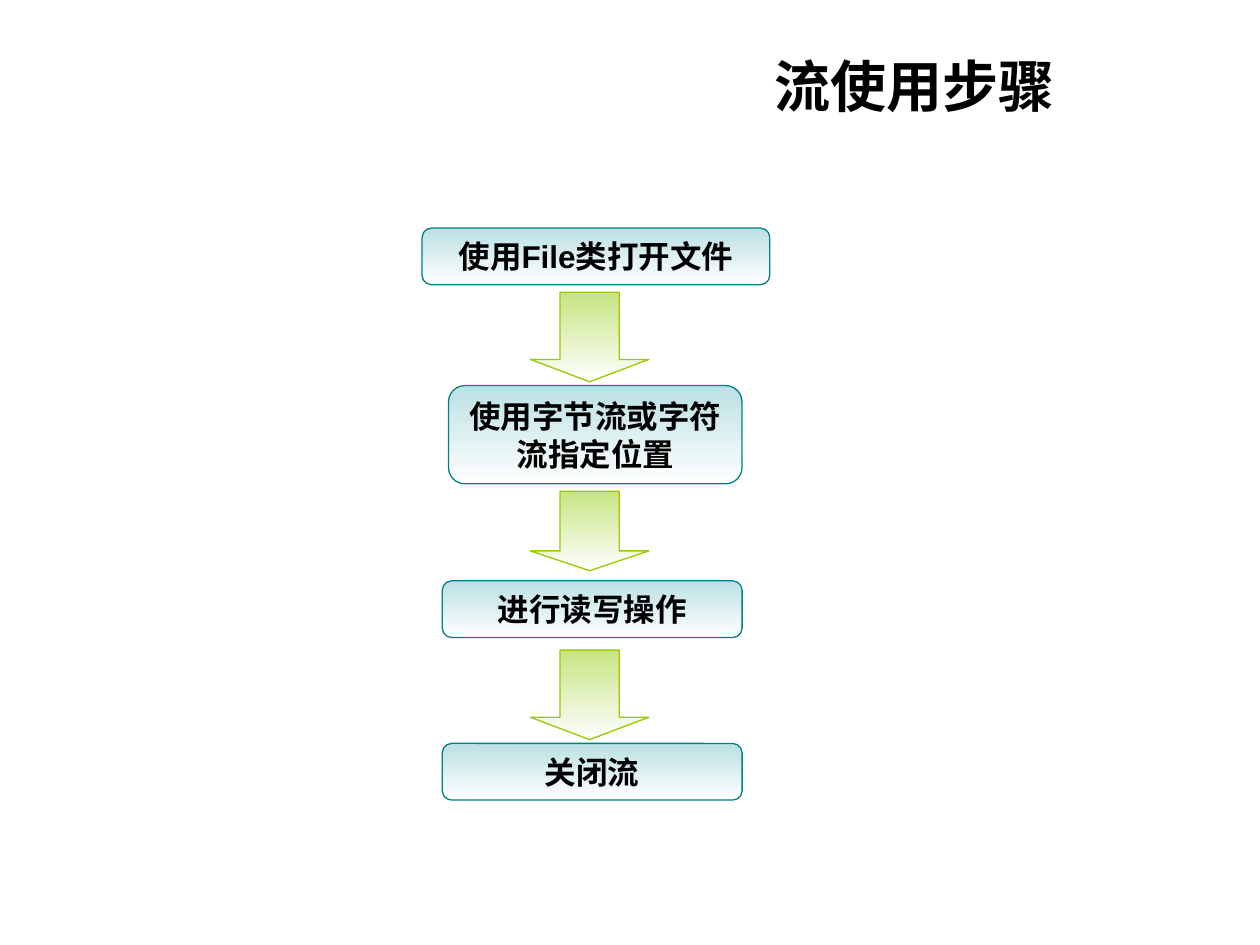
import pptx
import pptx.util
import pptx.dml.color
import pptx.enum.shapes
import pptx.enum.text

Inches = pptx.util.Inches
SHAPE = pptx.enum.shapes.MSO_SHAPE
ALIGN = pptx.enum.text.PP_ALIGN


class Theme:
    font = "Arial"
    text = "000000"
    fade = "FFFFFF"
    step_fill, step_line = "BBE0E3", "008080"
    arrow_fill, arrow_line = "C6E482", "99CC00"
    title_size, step_size, line_width = 32, 18, 0.75


def rgb(value):
    return pptx.dml.color.RGBColor.from_string(value)


class FlowSlide:
    def __init__(self, prs, theme):
        self.theme = theme
        self.s = prs.slides.add_slide(prs.slide_layouts[6])

    def set_text(self, sp, text, size, align):
        tf = sp.text_frame
        tf.word_wrap = True
        tf.vertical_anchor = pptx.enum.text.MSO_ANCHOR.MIDDLE
        p = tf.paragraphs[0]
        p.text = text
        p.alignment = align
        p.font.name = self.theme.font
        p.font.size = pptx.util.Pt(size)
        p.font.bold = True
        p.font.color.rgb = rgb(self.theme.text)

    def shape(self, kind, box, fill, line):
        sp = self.s.shapes.add_shape(kind, *map(Inches, box))
        sp.shadow.inherit = False
        sp.fill.gradient()
        sp.fill.gradient_angle = 270  # top to bottom
        for stop, color in zip(sp.fill.gradient_stops, (fill, self.theme.fade)):
            stop.color.rgb = rgb(color)
        sp.line.color.rgb = rgb(line)
        sp.line.width = pptx.util.Pt(self.theme.line_width)
        return sp

    def title(self, text, *box):
        sp = self.s.shapes.add_textbox(*map(Inches, box))
        self.set_text(sp, text, self.theme.title_size, ALIGN.RIGHT)

    def step(self, text, *box):
        sp = self.shape(SHAPE.FLOWCHART_ALTERNATE_PROCESS, box,
                        self.theme.step_fill, self.theme.step_line)
        self.set_text(sp, text, self.theme.step_size, ALIGN.CENTER)

    def arrow(self, top, height):
        sp = self.shape(SHAPE.DOWN_ARROW, (4.21, top, 0.94, height),
                        self.theme.arrow_fill, self.theme.arrow_line)
        sp.adjustments[0] = 0.5
        sp.adjustments[1] = 0.25


def main():
    prs = pptx.Presentation()
    prs.slide_width, prs.slide_height = Inches(10), Inches(7.5)
    slide = FlowSlide(prs, Theme())

    # Title
    slide.title("流使用步骤", 5, 0.36, 3.47, 0.63)

    # Steps: text, left, top, width, height
    steps = [
        ("使用File类打开文件", 3.35, 1.81, 2.76, 0.45),
        ("使用字节流或字符流指定位置", 3.56, 3.06, 2.33, 0.78),
        ("进行读写操作", 3.51, 4.61, 2.38, 0.45),
        ("关闭流", 3.51, 5.9, 2.38, 0.45),
    ]
    for step in steps:
        slide.step(*step)

    # Arrows between the steps: top, height
    for top, height in [(2.32, 0.71), (3.9, 0.63), (5.16, 0.71)]:
        slide.arrow(top, height)

    prs.save("out.pptx")


if __name__ == "__main__":
    main()
